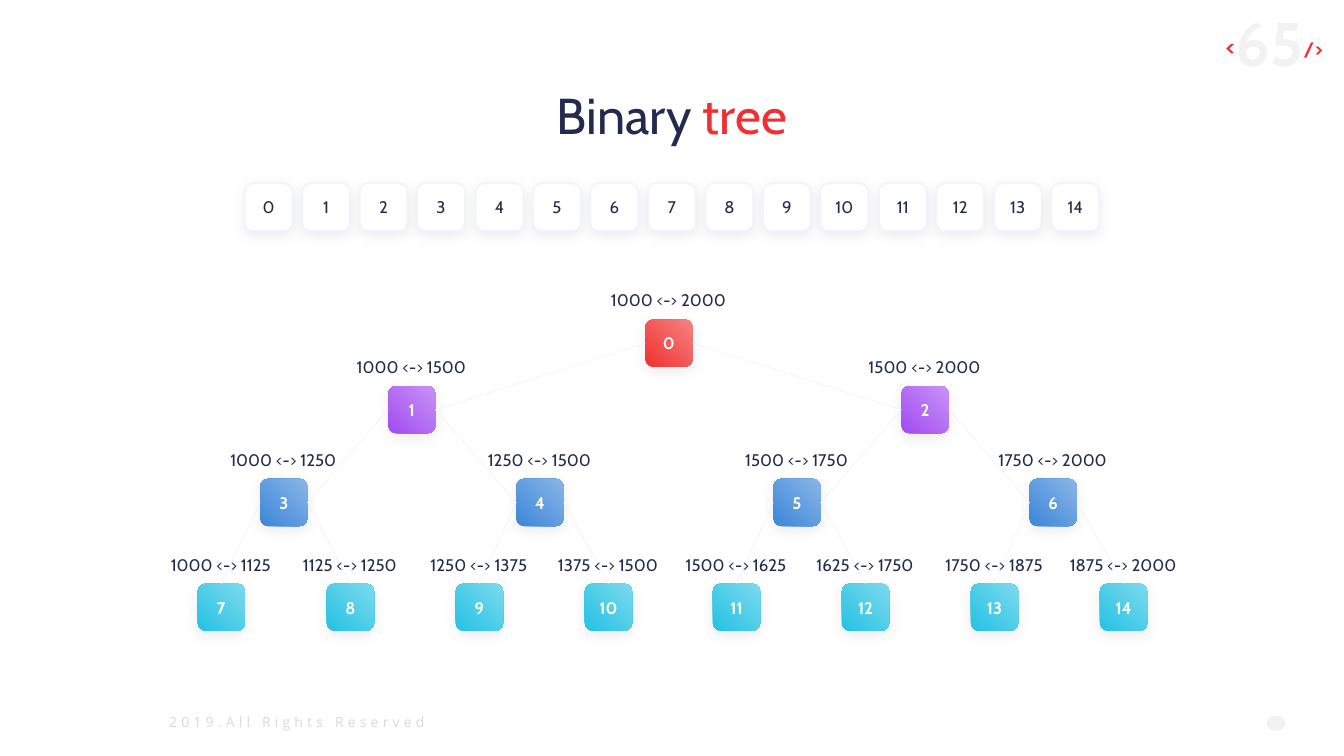
import lxml.etree
import pptx
import pptx.dml.color
import pptx.enum.shapes
import pptx.enum.text
import pptx.oxml.ns
import pptx.util

RGBColor = pptx.dml.color.RGBColor
SHAPE = pptx.enum.shapes.MSO_SHAPE
ALIGN = pptx.enum.text.PP_ALIGN
ANCHOR = pptx.enum.text.MSO_ANCHOR
qn = pptx.oxml.ns.qn

NAVY = RGBColor(0x23, 0x2A, 0x4E)
RED = RGBColor(0xF0, 0x30, 0x30)
PURPLE = RGBColor(0xA2, 0x4B, 0xF0)
BLUE = RGBColor(0x3C, 0x86, 0xD8)
CYAN = RGBColor(0x25, 0xC2, 0xE3)
LIGHT_RED = RGBColor(0xF6, 0x83, 0x83)
LIGHT_PURPLE = RGBColor(0xC7, 0x93, 0xF6)
LIGHT_BLUE = RGBColor(0x8A, 0xB6, 0xE8)
LIGHT_CYAN = RGBColor(0x7C, 0xDA, 0xEE)
WHITE = RGBColor(0xFF, 0xFF, 0xFF)
PALE_BLUE = RGBColor(0xF1, 0xF3, 0xFE)
PALE_GREY = RGBColor(0xF2, 0xF2, 0xF2)
GREY = RGBColor(0xD9, 0xD9, 0xD9)

PX = 9144
TILE = 47
FONT = "Cabin"
TITLE = [("Binary ", 36, NAVY, {}), ("tree", 36, RED, {})]
PAGE_NUMBER = [("<", 28, RED, {"baseline": "30000"}), ("65", 44, PALE_GREY, {}),
               ("/>", 24, RED, {"baseline": "30000"})]
RIGHTS = [("2019.All Rights Reserved", 10, GREY, {"spc": "300"})]
RANGE_LOW, RANGE_HIGH = 1000, 2000
ARRAY_SIZE = 15
ARRAY_FIRST, ARRAY_LAST, ARRAY_TOP = 243, 1043, 182
LEVELS = [
    {"first": 640, "last": 640, "top": 317, "colors": (RED, LIGHT_RED)},
    {"first": 385, "last": 894, "top": 383, "colors": (PURPLE, LIGHT_PURPLE)},
    {"first": 258, "last": 1021, "top": 475, "colors": (BLUE, LIGHT_BLUE)},
    {"first": 196, "last": 1091, "top": 579, "colors": (CYAN, LIGHT_CYAN)},
]
TOP_SIDE, LEFT_SIDE, RIGHT_SIDE = 0, 1, 3


def spread(first, last, count):
    return [round(first + (last - first) * i / max(count - 1, 1)) for i in range(count)]


def emu(*lengths):
    return [length * PX for length in lengths]


def write(para, spans, font=FONT, bold=False, align=ALIGN.LEFT):
    para.alignment = align
    para.font.name = font
    para.font.bold = bold
    for text, size, color, attributes in spans:
        span = para.add_run()
        span.text = text
        span.font.size = pptx.util.Pt(size)
        span.font.color.rgb = color
        for name, value in attributes.items():
            span.font._element.set(name, value)


def add_text(page, place, spans, wrap=True, anchor=ANCHOR.TOP, **style):
    box = page.shapes.add_textbox(*emu(*place))
    box.text_frame.word_wrap = wrap
    box.text_frame.vertical_anchor = anchor
    write(box.text_frame.paragraphs[0], spans, **style)


def add_tile(page, left, top, number, color, bold):
    tile = page.shapes.add_shape(SHAPE.ROUNDED_RECTANGLE, *emu(left, top, TILE, TILE))
    tile.shadow.inherit = False
    effects = tile._element.spPr.find(qn("a:effectLst"))
    shadow = lxml.etree.SubElement(
        effects, qn("a:outerShdw"), blurRad="127000", dist="38100", dir="5400000",
        algn="t", rotWithShape="0")
    shade = lxml.etree.SubElement(shadow, qn("a:srgbClr"), val="000000")
    lxml.etree.SubElement(shade, qn("a:alpha"), val="8000")
    tile.text_frame.vertical_anchor = ANCHOR.MIDDLE
    write(tile.text_frame.paragraphs[0], [(str(number), 12, color, {})],
          bold=bold, align=ALIGN.CENTER)
    return tile


def add_array(page):
    for number, left in enumerate(spread(ARRAY_FIRST, ARRAY_LAST, ARRAY_SIZE)):
        tile = add_tile(page, left, ARRAY_TOP, number, NAVY, False)
        tile.fill.solid()
        tile.fill.fore_color.rgb = WHITE
        tile.line.color.rgb = PALE_BLUE
        tile.line.width = pptx.util.Pt(1)


def add_branch(page, parent, parent_side, child, child_side):
    branch = page.shapes.add_connector(pptx.enum.shapes.MSO_CONNECTOR.STRAIGHT, 0, 0, 0, 0)
    branch.begin_connect(parent, parent_side)
    branch.end_connect(child, child_side)
    branch.line.color.rgb = PALE_BLUE
    branch.line.width = pptx.util.Pt(0.5)
    lxml.etree.SubElement(branch._element.spPr, qn("a:effectLst"))


def add_tree(page):
    nodes, labels = [], []
    for depth, level in enumerate(LEVELS):
        count = 2 ** depth
        step = (RANGE_HIGH - RANGE_LOW) // count
        for i, left in enumerate(spread(level["first"], level["last"], count)):
            node = add_tile(page, left, level["top"], len(nodes), WHITE, True)
            node.fill.gradient()
            node.fill.gradient_angle = 45
            for stop, color in zip(node.fill.gradient_stops, level["colors"]):
                stop.color.rgb = color
            node.line.fill.background()
            nodes.append(node)
            low = RANGE_LOW + i * step
            labels.append((left - 44, level["top"] - 34, f"{low} <-> {low + step}"))
    first_leaf = len(nodes) // 2
    for number in range(1, len(nodes)):
        is_left = number % 2 == 1
        parent_side = LEFT_SIDE if is_left else RIGHT_SIDE
        inner_side = RIGHT_SIDE if is_left else LEFT_SIDE
        child_side = TOP_SIDE if number >= first_leaf else inner_side
        add_branch(page, nodes[(number - 1) // 2], parent_side, nodes[number], child_side)
    for left, top, text in labels:
        add_text(page, (left, top, 134, 30), [(text, 12, NAVY, {})], align=ALIGN.CENTER)


def main():
    deck = pptx.Presentation()
    deck.slide_width, deck.slide_height = emu(1333, 750)
    page = deck.slides.add_slide(deck.slide_layouts[5])
    title = page.shapes.title
    title.left, title.top, title.width, title.height = emu(246, 78, 841, 71)
    title.text_frame.auto_size = pptx.enum.text.MSO_AUTO_SIZE.NONE
    title.text_frame.vertical_anchor = ANCHOR.TOP
    write(title.text_frame.paragraphs[0], TITLE, align=ALIGN.CENTER)
    add_text(page, (1067, 0, 255, 84), PAGE_NUMBER, anchor=ANCHOR.MIDDLE,
             bold=True, align=ALIGN.RIGHT)
    add_text(page, (158, 703, 276, 27), RIGHTS, wrap=False, font="Open Sans")
    badge = page.shapes.add_shape(SHAPE.OVAL, *emu(1256, 710, 19, 15))
    badge.shadow.inherit = False
    badge.fill.solid()
    badge.fill.fore_color.rgb = PALE_GREY
    badge.line.fill.background()
    add_array(page)
    add_tree(page)
    deck.save("out.pptx")


if __name__ == "__main__":
    main()
